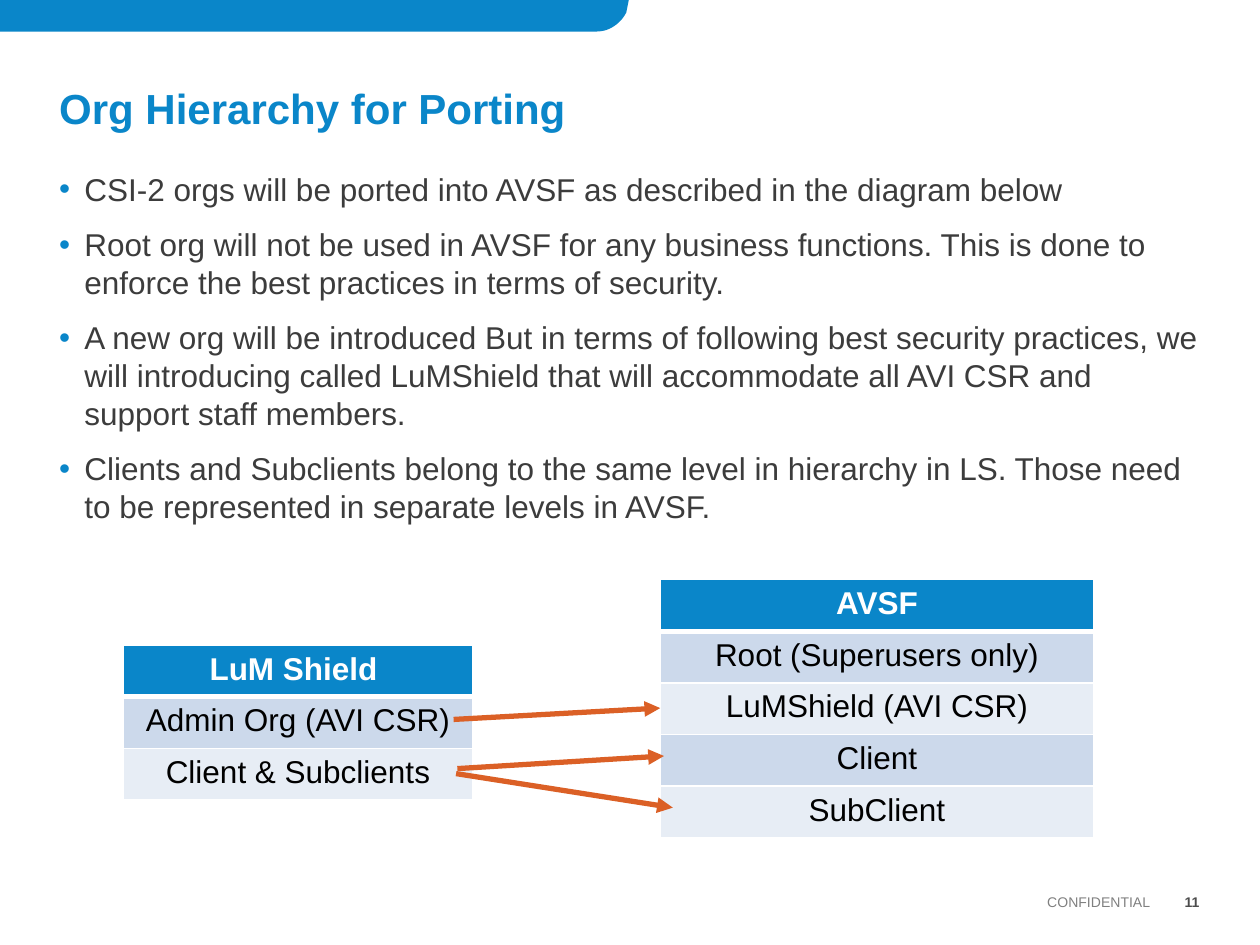
from pptx import Presentation
from pptx.dml.color import RGBColor
from pptx.enum.shapes import MSO_CONNECTOR as Connector
from pptx.enum.text import MSO_ANCHOR as Anchor, PP_ALIGN as Align
from pptx.oxml.ns import qn
from pptx.util import Inches, Pt
from lxml.etree import SubElement

BLUE = RGBColor(0x0A, 0x86, 0xC9)
BODY = RGBColor(0x3C, 0x3C, 0x3C)
WHITE = RGBColor(0xFF, 0xFF, 0xFF)
BLACK = RGBColor(0, 0, 0)
DARK_BAND = RGBColor(0xCC, 0xD9, 0xEB)
LIGHT_BAND = RGBColor(0xE7, 0xED, 0xF5)
ORANGE = RGBColor(0xDB, 0x60, 0x26)
GREY = RGBColor(0x80, 0x80, 0x80)
DARK_GREY = RGBColor(0x4D, 0x4D, 0x4D)

TITLE = "Org Hierarchy for Porting"
BULLETS = [
    "CSI-2 orgs will be ported into AVSF as described in the diagram below",
    "Root org will not be used in AVSF for any business functions. This is done to "
    "enforce the best practices in terms of security.",
    "A new org will be introduced But in terms of following best security practices, we "
    "will introducing called LuMShield that will accommodate all AVI CSR and "
    "support staff members.",
    "Clients and Subclients belong to the same level in hierarchy in LS. Those need "
    "to be represented in separate levels in AVSF.",
]
TABLES = [
    (0.98, 5.12, 2.77, ["LuM Shield ", "Admin Org (AVI CSR)", "Client & Subclients"]),
    (5.24, 4.6, 3.44, ["AVSF", "Root (Superusers only)", "LuMShield (AVI CSR)",
                       "Client", "SubClient"]),
]
ROW_HEIGHT = 0.41
ARROWS = [
    ((3.6, 5.71), (5.24, 5.62)),
    ((3.63, 6.1), (5.27, 6)),
    ((3.62, 6.14), (5.34, 6.41)),
]
BANNER_CURVE = [(4.97, 0.1), (4.93, 0.18), (4.84, 0.25), (4.74, 0.25)]


def bezier(points, steps=16):
    for step in range(steps + 1):
        t = step / steps
        weights = ((1 - t) ** 3, 3 * t * (1 - t) ** 2, 3 * t * t * (1 - t), t ** 3)
        yield tuple(sum(w * p[axis] for w, p in zip(weights, points)) for axis in (0, 1))


def add_banner(page):
    outline = [(4.99, 0), *bezier(BANNER_CURVE), (0, 0.25)]
    builder = page.shapes.build_freeform(0, 0)
    builder.add_line_segments([(Inches(x), Inches(y)) for x, y in outline], close=True)
    banner = builder.convert_to_shape()
    banner.shadow.inherit = False
    banner.fill.solid()
    banner.fill.fore_color.rgb = BLUE
    banner.line.fill.background()


def add_span(para, text, size, color, bold=False):
    span = para.add_run()
    span.text = text
    span.font.name = "Arial"
    span.font.size = Pt(size)
    span.font.bold = bold
    span.font.color.rgb = color


def add_box(page, place, anchor):
    frame = page.shapes.add_textbox(*map(Inches, place)).text_frame
    frame.word_wrap = True
    frame.vertical_anchor = anchor
    frame.margin_left = frame.margin_top = frame.margin_right = frame.margin_bottom = 0
    return frame


def add_bullets(page):
    frame = add_box(page, (0.47, 1.35, 9.06, 5.56), Anchor.TOP)
    for index, text in enumerate(BULLETS):
        para = frame.paragraphs[0] if index == 0 else frame.add_paragraph()
        if index:
            para.space_before = Pt(10)
        props = para._p.get_or_add_pPr()
        props.set("marL", str(Inches(0.2)))
        props.set("indent", str(Inches(-0.2)))
        color = SubElement(props, qn("a:buClr"))
        SubElement(color, qn("a:srgbClr"), val=str(BLUE))
        SubElement(props, qn("a:buFont"), typeface="Arial")
        SubElement(props, qn("a:buChar"), char="•")
        add_span(para, text, 18, BODY)


def add_borders(cell, top, bottom):
    props = cell._tc.get_or_add_tcPr()
    for side, width in (("L", 1), ("R", 1), ("T", top), ("B", bottom)):
        line = SubElement(props, qn(f"a:ln{side}"), w=str(Pt(width)))
        fill = SubElement(line, qn("a:solidFill"))
        SubElement(fill, qn("a:srgbClr"), val=str(WHITE))


def add_org_table(page, left, top, width, labels):
    table = page.shapes.add_table(
        len(labels), 1, Inches(left), Inches(top), Inches(width),
        Inches(ROW_HEIGHT * len(labels))).table
    for index, label in enumerate(labels):
        header = index == 0
        cell = table.cell(index, 0)
        add_borders(cell, 3 if index == 1 else 1, 3 if header else 1)
        cell.fill.solid()
        band = DARK_BAND if index % 2 else LIGHT_BAND
        cell.fill.fore_color.rgb = BLUE if header else band
        para = cell.text_frame.paragraphs[0]
        para.alignment = Align.CENTER
        add_span(para, label, 18, WHITE if header else BLACK, header)


def add_arrow(page, start, end):
    arrow = page.shapes.add_connector(Connector.STRAIGHT, *map(Inches, start + end))
    arrow.line.color.rgb = ORANGE
    arrow.line.width = Pt(3)
    SubElement(arrow.line._get_or_add_ln(), qn("a:tailEnd"), type="triangle")
    SubElement(arrow._element.spPr, qn("a:effectLst"))


def main():
    deck = Presentation()
    deck.slide_width, deck.slide_height = Inches(10), Inches(7.5)
    page = deck.slides.add_slide(deck.slide_layouts[6])
    add_banner(page)

    footers = [("11", 9.13, 0.39, DARK_GREY, True),
               ("CONFIDENTIAL", 1.89, 7.24, GREY, False)]
    for text, left, width, color, bold in footers:
        para = add_box(page, (left, 7.06, width, 0.2), Anchor.MIDDLE).paragraphs[0]
        para.alignment = Align.RIGHT
        add_span(para, text, 8, color, bold)

    add_bullets(page)
    heading = add_box(page, (0.47, 0.59, 9.06, 0.47), Anchor.BOTTOM).paragraphs[0]
    heading.line_spacing = 0.9
    add_span(heading, TITLE, 24, BLUE, True)

    for table in TABLES:
        add_org_table(page, *table)
    for start, end in ARROWS:
        add_arrow(page, start, end)
    deck.save("out.pptx")


if __name__ == "__main__":
    main()
